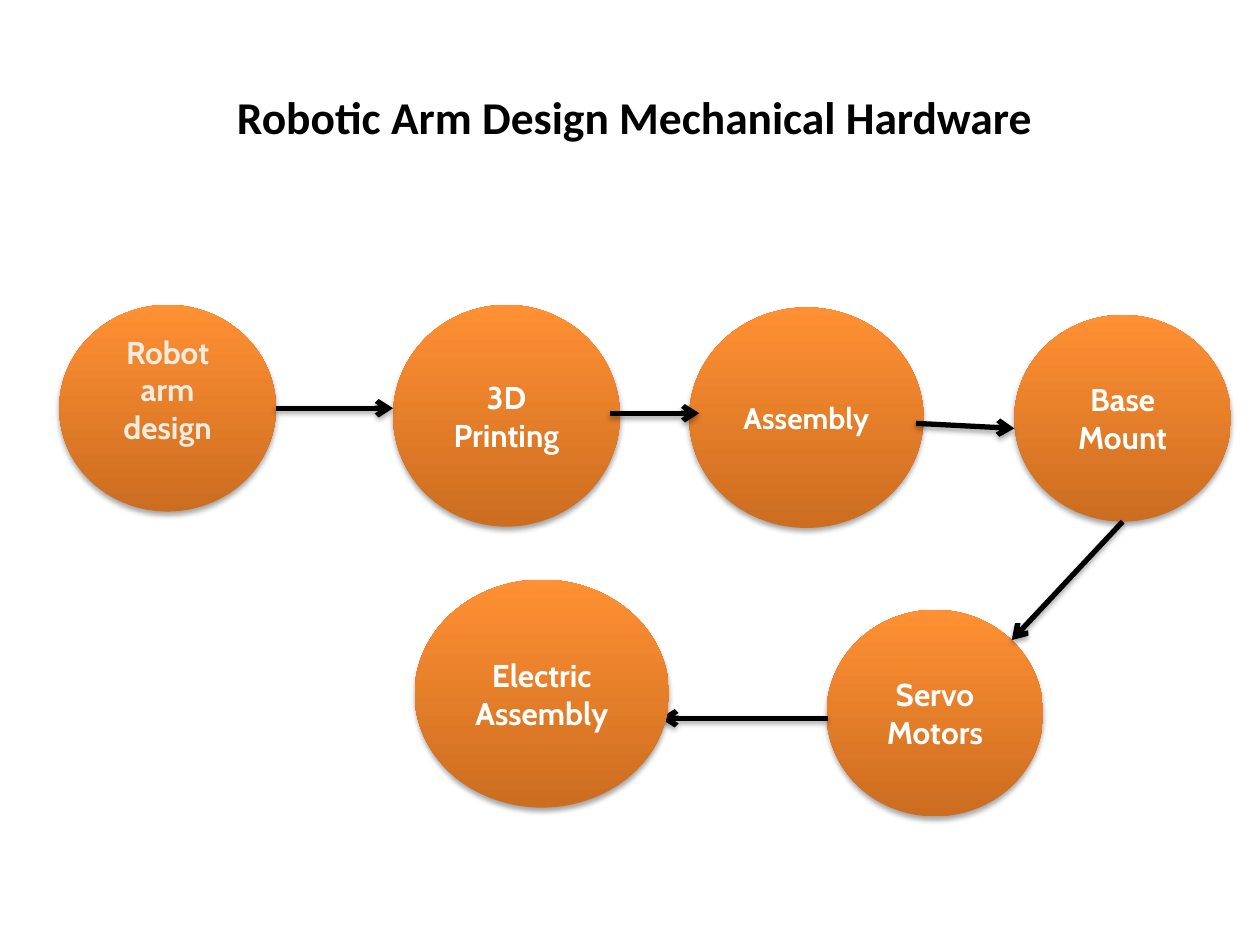
from lxml.etree import SubElement
from pptx import Presentation
from pptx.dml.color import RGBColor
from pptx.enum.shapes import MSO_CONNECTOR as CONN, MSO_SHAPE as SHAPE
from pptx.enum.text import MSO_ANCHOR as ANCHOR, PP_ALIGN as ALIGN
from pptx.oxml.ns import qn
from pptx.util import Inches, Pt


def rgb(hex_color):
    return RGBColor.from_string(hex_color)


def add_shadow(sp):
    effects = SubElement(sp._element.spPr, qn("a:effectLst"))
    shadow = SubElement(effects, qn("a:outerShdw"), blurRad=str(Pt(3.1)),
                        dist=str(Pt(1.8)), dir="5400000", rotWithShape="0")
    color = SubElement(shadow, qn("a:srgbClr"), val="000000")
    SubElement(color, qn("a:alpha"), val="35000")


def format_text(tf, font, size, color):
    for p in tf.paragraphs:
        p.alignment = ALIGN.CENTER
        for r in p.runs:
            r.font.name = font
            r.font.size = Pt(size)
            r.font.bold = True
            r.font.color.rgb = rgb(color)


def add_title(slide, text, box):
    title = slide.shapes.title
    title.left, title.top, title.width, title.height = map(Inches, box)
    tf = title.text_frame
    tf.margin_left = Inches(0.08)
    tf.margin_right = tf.margin_top = tf.margin_bottom = 0
    tf.vertical_anchor = ANCHOR.MIDDLE
    tf.text = text
    format_text(tf, "Calibri", 26, "000000")


def add_step(slide, text, box, size=18, color="FFFFFF", bottom=0.05):
    sp = slide.shapes.add_shape(SHAPE.OVAL, *map(Inches, box))
    sp.line.fill.background()
    sp.fill.gradient()
    sp.fill.gradient_angle = 90
    stops = zip(sp.fill.gradient_stops, (0, 1), ("CC6D20", "FF9033"))
    for stop, position, stop_color in stops:
        stop.position = position
        stop.color.rgb = rgb(stop_color)
    add_shadow(sp)
    tf = sp.text_frame
    tf.word_wrap = True
    tf.vertical_anchor = ANCHOR.MIDDLE
    tf.margin_bottom = Inches(bottom)
    tf.text = text
    format_text(tf, "Cabin", size, color)


def add_arrow(slide, *ends):
    line = slide.shapes.add_connector(CONN.STRAIGHT, *map(Inches, ends))
    line.line.color.rgb = rgb("000000")
    line.line.width = Pt(3)
    SubElement(line.line._get_or_add_ln(), qn("a:tailEnd"), type="arrow")
    add_shadow(line)


def add_flow(slide):
    w, h = 1.72, 1.64
    add_step(slide, "Robot arm design", (0.47, 2.42, w, h),
             color="EEECE1", bottom=0.35)
    add_step(slide, "3D Printing", (3.12, 2.42, 1.8, 1.76))
    add_step(slide, "Assembly", (5.47, 2.44, 1.86, 1.75), size=17)
    add_step(slide, "Servo Motors", (6.56, 4.84, w, h))
    add_step(slide, "Base\nMount", (8.05, 2.5, w, h))
    add_arrow(slide, 2.19, 3.24, 3.12, 3.24)
    add_arrow(slide, 4.84, 3.28, 5.55, 3.28)
    add_arrow(slide, 7.27, 3.36, 8.05, 3.4)
    add_arrow(slide, 6.57, 5.7, 5.24, 5.7)
    add_step(slide, "Electric\nAssembly", (3.29, 4.6, 2.02, 1.81))
    add_arrow(slide, 8.91, 4.14, 8.03, 5.08)


def main():
    prs = Presentation()
    prs.slide_width, prs.slide_height = Inches(10), Inches(7.5)
    slide = prs.slides.add_slide(prs.slide_layouts[5])
    add_title(slide, "Robotic Arm Design Mechanical Hardware",
              (0.5, 0.3, 9, 1.25))
    add_flow(slide)
    prs.save("out.pptx")


if __name__ == "__main__":
    main()
